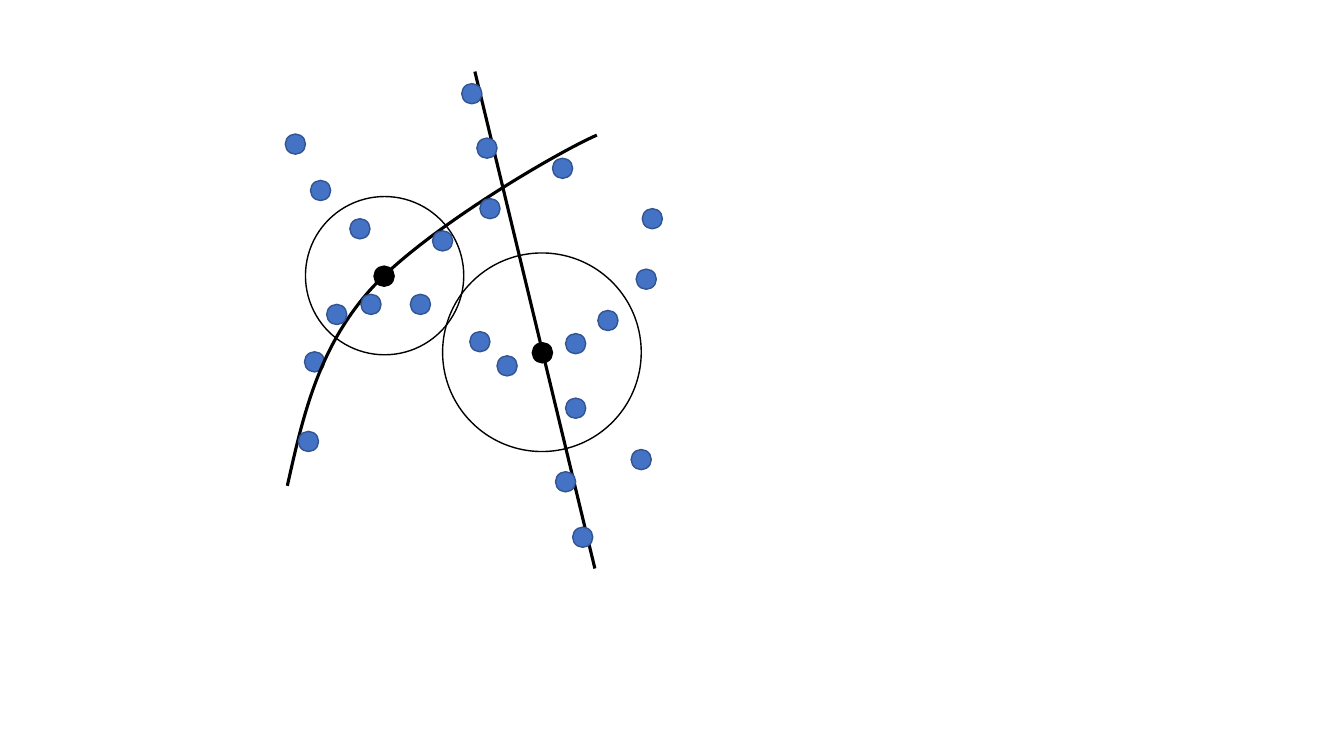
from dataclasses import dataclass
from typing import Optional

from pptx import Presentation
from pptx.dml.color import RGBColor
from pptx.enum.shapes import MSO_CONNECTOR, MSO_SHAPE
from pptx.oxml.ns import qn
from pptx.oxml.xmlchemy import OxmlElement
from pptx.util import Pt

PX = 9144
BLACK = RGBColor(0x00, 0x00, 0x00)
BLUE = RGBColor(0x44, 0x72, 0xC4)
DARK_BLUE = RGBColor(0x32, 0x54, 0x91)
DOT_SIZE = 20
THIN = 1
THICK = 2.25


@dataclass(frozen=True)
class Disc:
    left: int
    top: int
    size: int = DOT_SIZE
    fill: Optional[RGBColor] = BLUE
    line: RGBColor = DARK_BLUE


NEIGHBORHOODS = [
    Disc(303, 195, 157, None, BLACK),
    Disc(439, 251, 197, None, BLACK),
]
DOTS_BEHIND_CURVE = [Disc(302, 349)]
CURVE = [(285, 482), (300, 415), (315, 347), (366, 289),
         (417, 231), (549, 153), (592, 134)]
DOTS_BEHIND_LINE = [
    Disc(371, 264, fill=BLACK, line=BLACK),
    Disc(476, 197), Disc(283, 133), Disc(358, 292), Disc(466, 329),
    Disc(429, 229), Disc(296, 428), Disc(561, 395), Disc(493, 353),
]
LINE = (471, 71, 590, 564)
DOTS_IN_FRONT = [
    Disc(528, 340, fill=BLACK, line=BLACK),
    Disc(593, 308), Disc(561, 331), Disc(637, 207), Disc(631, 267),
    Disc(626, 446), Disc(308, 179), Disc(347, 217), Disc(407, 292),
    Disc(324, 302), Disc(458, 83), Disc(473, 137), Disc(548, 157),
    Disc(551, 468), Disc(568, 523),
]


def draw_discs(shapes, discs: list[Disc]) -> None:
    for disc in discs:
        sp = shapes.add_shape(MSO_SHAPE.OVAL, disc.left * PX, disc.top * PX,
                              disc.size * PX, disc.size * PX)
        sp.shadow.inherit = False
        if disc.fill is None:
            sp.fill.background()
        else:
            sp.fill.solid()
            sp.fill.fore_color.rgb = disc.fill
        sp.line.color.rgb = disc.line
        sp.line.width = Pt(THIN)


def draw_curve(shapes, points: list[tuple[int, int]]) -> None:
    builder = shapes.build_freeform(*points[0], scale=PX)
    builder.add_line_segments(points[1:], close=False)
    sp = builder.convert_to_shape()
    segments = list(sp.element.iter(qn("a:lnTo")))
    for i in range(0, len(segments), 3):
        bezier = OxmlElement("a:cubicBezTo")
        segments[i].addprevious(bezier)
        for segment in segments[i:i + 3]:
            bezier.append(segment[0])
            segment.getparent().remove(segment)
    sp.shadow.inherit = False
    sp.fill.background()
    sp.line.color.rgb = BLACK
    sp.line.width = Pt(THICK)


def draw_line(shapes, ends: tuple[int, int, int, int]) -> None:
    line = shapes.add_connector(MSO_CONNECTOR.STRAIGHT, *(v * PX for v in ends))
    line.line.color.rgb = BLACK
    line.line.width = Pt(THICK)
    line.element.spPr.append(OxmlElement("a:effectLst"))


def main() -> None:
    prs = Presentation()
    prs.slide_width = 1333 * PX
    prs.slide_height = 750 * PX
    shapes = prs.slides.add_slide(prs.slide_layouts.get_by_name("Blank")).shapes
    draw_discs(shapes, NEIGHBORHOODS + DOTS_BEHIND_CURVE)
    draw_curve(shapes, CURVE)
    draw_discs(shapes, DOTS_BEHIND_LINE)
    draw_line(shapes, LINE)
    draw_discs(shapes, DOTS_IN_FRONT)
    prs.save("out.pptx")


if __name__ == "__main__":
    main()
